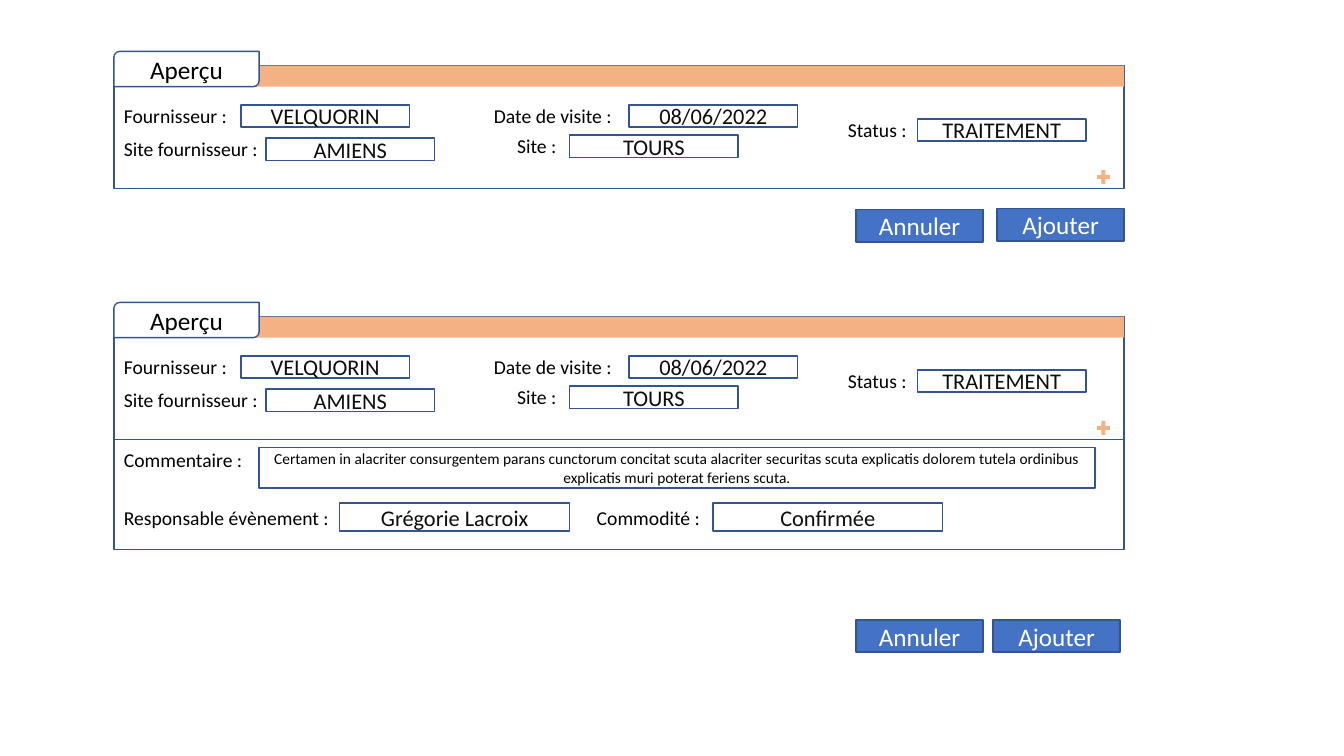
from pptx import Presentation
from pptx.dml.color import RGBColor
from pptx.enum.shapes import MSO_SHAPE
from pptx.enum.text import MSO_ANCHOR, PP_ALIGN
from pptx.util import Inches, Pt

RECT, TAB, PLUS = MSO_SHAPE.RECTANGLE, MSO_SHAPE.ROUND_2_DIAG_RECTANGLE, MSO_SHAPE.MATH_PLUS
MIDDLE, TOP = MSO_ANCHOR.MIDDLE, MSO_ANCHOR.TOP
CENTER, LEFT = PP_ALIGN.CENTER, PP_ALIGN.LEFT
WHITE = RGBColor(0xFF, 0xFF, 0xFF)
BLACK = RGBColor(0x00, 0x00, 0x00)
INK = RGBColor(0x0D, 0x0D, 0x0D)
NAVY = RGBColor(0x32, 0x54, 0x91)
BLUE = RGBColor(0x44, 0x72, 0xC4)
PEACH = RGBColor(0xF4, 0xB1, 0x83)

PANEL_X, PANEL_W, PANEL_H = 1.13, 10.02, 1.22
PANEL_TOPS = [0.65, 3.14]
TAB_TEXT = "Aperçu"
# label, label left, value, value left, offset from panel top
HEADER_FIELDS = [
    ("Fournisseur :", 1.13, "VELQUORIN", 2.39, 0.39),
    ("Site fournisseur :", 1.13, "AMIENS", 2.64, 0.72),
    ("Date de visite :", 4.8, "08/06/2022", 6.24, 0.39),
    ("Site :", 5.03, "TOURS", 5.65, 0.69),
    ("Status :", 8.31, "TRAITEMENT", 9.1, 0.53),
]
DETAIL_FIELDS = [
    ("Responsable évènement :", 1.13, "Grégorie Lacroix", 3.37),
    ("Commodité :", 5.82, "Confirmée", 7.07),
]
COMMENT_LABEL = "Commentaire :"
COMMENT = ("Certamen in alacriter consurgentem parans cunctorum concitat scuta "
           "alacriter securitas scuta explicatis dolorem tutela ordinibus "
           "explicatis muri poterat feriens scuta.")
BUTTONS = [
    ("Ajouter", 9.89, 2.07), ("Annuler", 8.49, 2.08),
    ("Ajouter", 9.85, 6.15), ("Annuler", 8.49, 6.15),
]


def write(sp, text, size, color, align=CENTER, anchor=MIDDLE):
    """Put one formatted paragraph into a shape."""
    tf = sp.text_frame
    tf.word_wrap = True
    tf.vertical_anchor = anchor
    p = tf.paragraphs[0]
    p.alignment = align
    r = p.add_run()
    r.text = text
    for name, value in {"name": "Calibri", "size": Pt(size)}.items():
        setattr(r.font, name, value)
    r.font.color.rgb = color


def box(slide, x, y, w, h, fill=None, line=NAVY, kind=RECT):
    """Add a preset shape with optional fill and outline."""
    sp = slide.shapes.add_shape(kind, *map(Inches, (x, y, w, h)))
    sp.shadow.inherit = False
    for part, color in ((sp.fill, fill), (sp.line.fill, line)):
        if color is None:
            part.background()
        else:
            part.solid()
            part.fore_color.rgb = color
    if line is not None:
        sp.line.width = Pt(1)
    return sp


def label(slide, text, x, y, w=1.58):
    """Add a left-aligned field label."""
    sp = slide.shapes.add_textbox(*map(Inches, (x, y, w, 0.34)))
    write(sp, text, 14, BLACK, LEFT, TOP)


def panel(slide, top):
    """Add an overview panel with its tab, bar, fields and plus sign."""
    box(slide, PANEL_X, top, PANEL_W, PANEL_H, WHITE)
    box(slide, 2.47, top, 8.68, 0.21, PEACH, None)
    write(box(slide, PANEL_X, top - 0.14, 1.44, 0.35, WHITE, kind=TAB), TAB_TEXT, 18, BLACK)
    for name, name_x, value, value_x, dy in HEADER_FIELDS:
        label(slide, name, name_x, top + dy - 0.06)
        write(box(slide, value_x, top + dy, 1.67, 0.22), value, 16, INK)
    box(slide, 10.86, top + 1.01, 0.17, 0.19, PEACH, None, PLUS)


def details(slide, top):
    """Add the comment and event details below a panel."""
    box(slide, PANEL_X, top, PANEL_W, 1.09)
    label(slide, COMMENT_LABEL, PANEL_X, top + 0.03)
    write(box(slide, 2.57, top + 0.08, 8.29, 0.4), COMMENT, 11, BLACK)
    for name, name_x, value, value_x in DETAIL_FIELDS:
        label(slide, name, name_x, top + 0.61, 2.32)
        write(box(slide, value_x, top + 0.63, 2.28, 0.28), value, 16, INK)


def main():
    """Build the slide and save it."""
    prs = Presentation()
    prs.slide_width, prs.slide_height = Inches(13.33), Inches(7.5)
    slide = prs.slides.add_slide(prs.slide_layouts[6])
    for top in PANEL_TOPS:
        panel(slide, top)
    details(slide, PANEL_TOPS[-1] + PANEL_H)
    for text, x, y in BUTTONS:
        write(box(slide, x, y, 1.26, 0.32, BLUE), text, 18, WHITE)
    prs.save("out.pptx")


if __name__ == "__main__":
    main()
